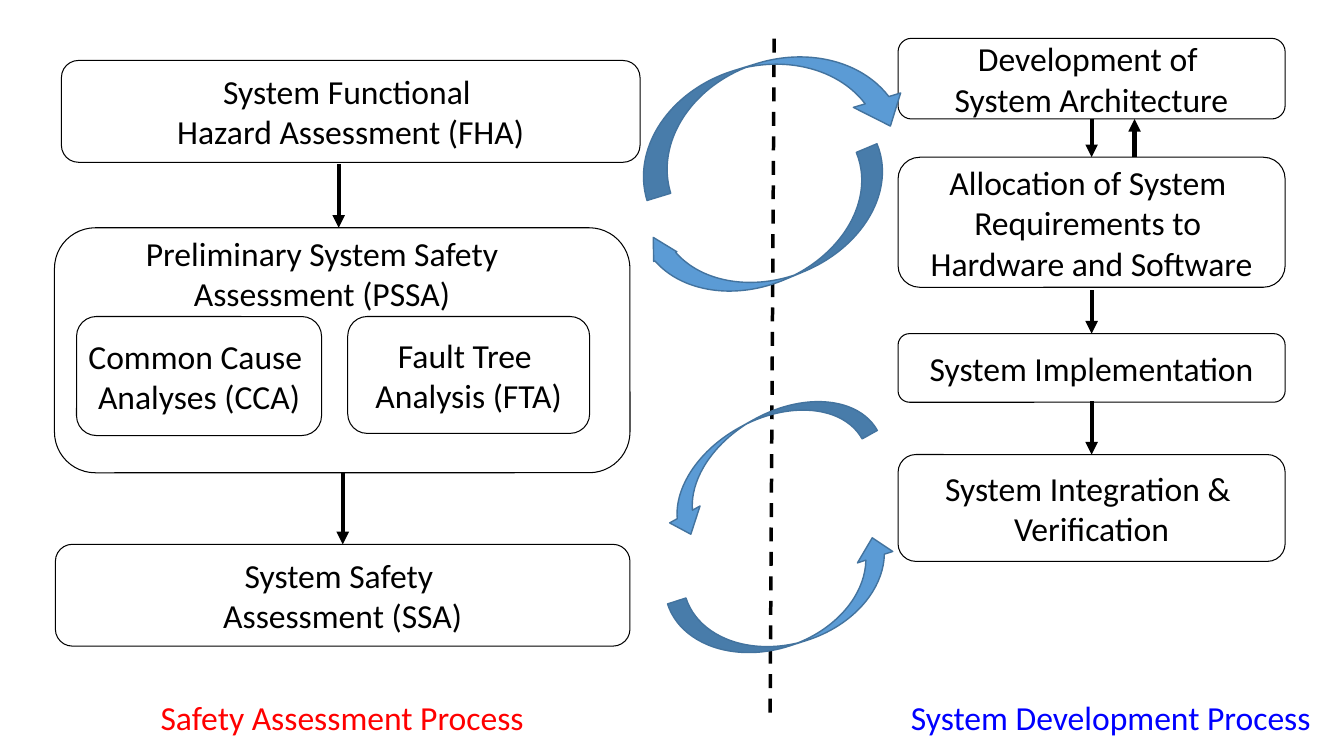
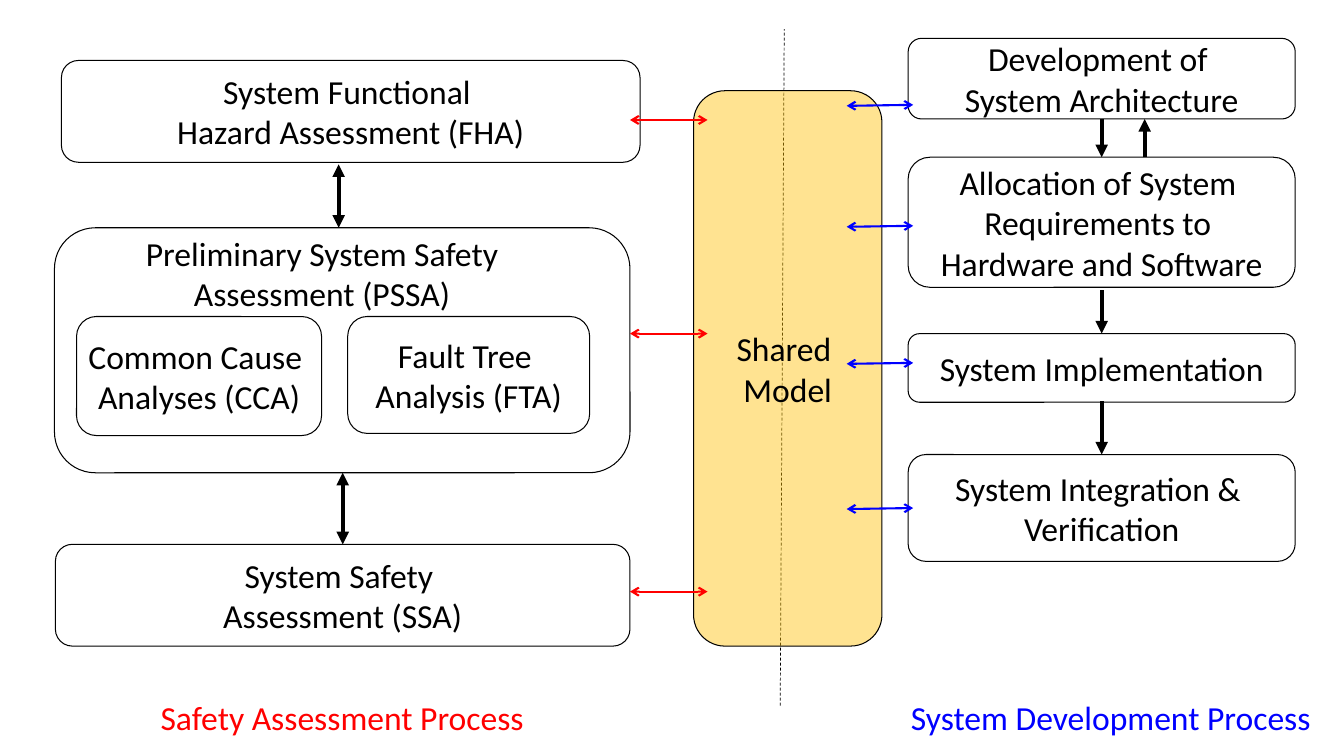
from dataclasses import dataclass
from typing import Any

from lxml import etree
from pptx import Presentation
from pptx import util as u
from pptx.dml.color import RGBColor
from pptx.enum import dml, shapes, text
from pptx.oxml import ns

BLACK = RGBColor(0x00, 0x00, 0x00)
WHITE = RGBColor(0xFF, 0xFF, 0xFF)
RED = RGBColor(0xFF, 0x00, 0x00)
BLUE = RGBColor(0x00, 0x00, 0xFF)
AMBER = RGBColor(0xFF, 0xC0, 0x00)
CYCLE_FILL = RGBColor(0x5B, 0x9B, 0xD5)
CYCLE_LINE = RGBColor(0x43, 0x73, 0x9E)

FONT = {"name": "Calibri", "size": u.Pt(24)}
BOX_FRAME = {"word_wrap": False, "vertical_anchor": text.MSO_ANCHOR.MIDDLE}
LABEL_FRAME = {"word_wrap": True, "auto_size": text.MSO_AUTO_SIZE.SHAPE_TO_FIT_TEXT}

SHIFT = 7.2  # the development column moves right beside the shared model


@dataclass(frozen=True)
class Box:
    left: float
    top: float
    width: float
    height: float
    lines: tuple[str, ...] = ()

    def area(self) -> list[u.Length]:
        return [u.Pt(n) for n in (self.left, self.top, self.width, self.height)]


@dataclass(frozen=True)
class Label:
    box: Box
    color: RGBColor = BLACK


@dataclass(frozen=True)
class Line:
    x1: float
    y1: float
    x2: float
    y2: float
    width: float = 3
    color: RGBColor = BLACK
    head: str = ""
    tail: str = "triangle"
    dashed: bool = False


@dataclass(frozen=True)
class CycleArrow:
    box: Box
    kind: shapes.MSO_SHAPE
    rotation: float
    flips: tuple[str, ...]
    adjustments: tuple[float, ...]


SAFETY_BOXES = (
    Box(43.9, 43.2, 413.3, 72.7, ("System Functional ", "Hazard Assessment (FHA)")),
    Box(39.6, 388.8, 410.4, 72.7, ("System Safety ", "Assessment (SSA)")),
    Box(38.9, 162.7, 411.1, 175),
    Box(248.4, 226.1, 172.8, 83.5, ("Fault Tree ", "Analysis (FTA)")),
    Box(54.7, 226.1, 175, 85, ("Common Cause ", "Analyses (CCA)")),
)
SAFETY_ARROWS = ((244.8, 337.7, 388.8), (241.9, 117.4, 162.7))

DEVELOPMENT_LEFT, DEVELOPMENT_WIDTH = 641.5, 276.5
DEVELOPMENT_ROWS = (
    (27.4, 57.6, ("Development of ", "System Architecture")),
    (112.3, 92.9, ("Allocation of System ", "Requirements to ", "Hardware and Software")),
    (238.3, 49, ("System Implementation",)),
    (324.7, 76.3, ("System Integration & ", "Verification")),
)
# Offset from the column's centre, start and end height
DEVELOPMENT_ARROWS = (
    (0, 85, 112.3), (0, 207.4, 238.3), (0, 286.6, 324.7), (30.7, 112.3, 85),
)

LABELS = (
    Label(Box(84.2, 162.7, 291.6, 65.5, ("Preliminary System Safety Assessment (PSSA)",))),
    Label(Box(98.6, 494.6, 291.6, 36, ("Safety Assessment Process",)), RED),
    Label(Box(629.3, 494.6, 328.3, 36, ("System Development Process",)), BLUE),
)

RIGHT, LEFT = shapes.MSO_SHAPE.CURVED_RIGHT_ARROW, shapes.MSO_SHAPE.CURVED_LEFT_ARROW
CYCLE_ARROWS = (
    CycleArrow(Box(511.9, -19.4, 70.6, 199.4), RIGHT, 253, ("flipH",), (0.25, 0.5, 0.29)),
    CycleArrow(Box(522.7, 76.3, 64.1, 182.2), LEFT, 247.3, ("flipH", "flipV"), (0.25, 0.28, 0.25)),
    CycleArrow(Box(517.7, 243.4, 49.7, 164.9), RIGHT, 60.9, (), (0.25, 0.5, 0.29)),
    CycleArrow(Box(537.1, 348.5, 55.4, 167), LEFT, 72.1, ("flipV",), (0.25, 0.48, 0.25)),
)

SHARED_MODEL = Box(495.4, 64.8, 134.6, 396.7, ("Shared ", "Model"))
SAFETY_LINK_HEIGHTS = (85.7, 238.3, 422.6)
DEVELOPMENT_LINK_HEIGHTS = (74.9, 161.3, 259.2, 362.9)


def set_all(target: Any, values: dict[str, Any]) -> None:
    for name, value in values.items():
        setattr(target, name, value)


def write(frame: Any, lines: tuple[str, ...], color: RGBColor, layout: dict[str, Any]) -> None:
    """Fill a text frame with one centred paragraph per line."""
    set_all(frame, layout)
    for index, line in enumerate(lines):
        para = frame.add_paragraph() if index else frame.paragraphs[0]
        para.alignment = text.PP_ALIGN.CENTER
        span = para.add_run()
        span.text = line
        set_all(span.font, FONT)
        span.font.color.rgb = color


def add_filled(page: Any, kind: shapes.MSO_SHAPE, box: Box, fill: RGBColor,
               line: RGBColor, width: float) -> Any:
    shape = page.shapes.add_shape(kind, *box.area())
    shape.shadow.inherit = False
    shape.fill.solid()
    shape.fill.fore_color.rgb = fill
    shape.line.color.rgb = line
    shape.line.width = u.Pt(width)
    return shape


def add_box(page: Any, box: Box, fill: RGBColor = WHITE) -> Any:
    shape = add_filled(page, shapes.MSO_SHAPE.ROUNDED_RECTANGLE, box, fill, BLACK, 0.75)
    write(shape.text_frame, box.lines, BLACK, BOX_FRAME)
    return shape


def add_label(page: Any, label: Label) -> None:
    area = page.shapes.add_textbox(*label.box.area())
    write(area.text_frame, label.box.lines, label.color, LABEL_FRAME)


def add_line(page: Any, line: Line) -> None:
    ends = [u.Pt(n) for n in (line.x1, line.y1, line.x2, line.y2)]
    connector = page.shapes.add_connector(shapes.MSO_CONNECTOR.STRAIGHT, *ends)
    connector.line.color.rgb = line.color
    connector.line.width = u.Pt(line.width)
    if line.dashed:
        connector.line.dash_style = dml.MSO_LINE.DASH
    outline = connector.get_or_add_ln()
    for tag, kind in (("a:headEnd", line.head), ("a:tailEnd", line.tail)):
        if kind:
            etree.SubElement(outline, ns.qn(tag), type=kind)
    etree.SubElement(connector.element.spPr, ns.qn("a:effectLst"))


def add_cycle_arrow(page: Any, arrow: CycleArrow) -> None:
    shape = add_filled(page, arrow.kind, arrow.box, CYCLE_FILL, CYCLE_LINE, 1)
    shape.rotation = arrow.rotation
    for index, value in enumerate(arrow.adjustments):
        shape.adjustments[index] = value
    for flip in arrow.flips:
        shape.element.spPr.get_or_add_xfrm().set(flip, "1")


def add_processes(deck: Any, shift: float, rise: float, divider_width: float,
                  safety_head: str) -> Any:
    """Add a page with both process columns and the line between them."""
    page = deck.slides.add_slide(deck.slide_layouts[6])
    for x, start, end in SAFETY_ARROWS:
        add_line(page, Line(x, start, x, end, head=safety_head))
    for box in SAFETY_BOXES:
        add_box(page, box)
    add_line(page, Line(550.1 + shift, 509 - rise, 553 + shift, 25.9 - rise,
                        width=divider_width, tail="", dashed=True))
    for label in LABELS:
        add_label(page, label)
    left = DEVELOPMENT_LEFT + shift
    for top, height, lines in DEVELOPMENT_ROWS:
        add_box(page, Box(left, top, DEVELOPMENT_WIDTH, height, lines))
    for offset, start, end in DEVELOPMENT_ARROWS:
        x = left + DEVELOPMENT_WIDTH / 2 + offset
        add_line(page, Line(x, start, x, end))
    return page


def add_shared_model(page: Any) -> None:
    """Add the see-through model box and its links to both processes."""
    model = add_box(page, SHARED_MODEL, AMBER)
    color = model.element.spPr.find(f"{ns.qn('a:solidFill')}/{ns.qn('a:srgbClr')}")
    etree.SubElement(color, ns.qn("a:alpha"), val="43000")
    links = [Line(450, y, 505.4, y, 1.5, RED, "arrow", "arrow") for y in SAFETY_LINK_HEIGHTS]
    links += [Line(652.3, y, 604.8, y + 0.7, 1.5, BLUE, "arrow", "arrow")
              for y in DEVELOPMENT_LINK_HEIGHTS]
    for link in links:
        add_line(page, link)


def main() -> None:
    deck = Presentation()
    set_all(deck, {"slide_width": u.Pt(960), "slide_height": u.Pt(540)})

    cycle_page = add_processes(deck, 0, 0, 2.5, "")
    for arrow in CYCLE_ARROWS:
        add_cycle_arrow(cycle_page, arrow)

    model_page = add_processes(deck, SHIFT, 5, 0.5, "triangle")
    add_shared_model(model_page)

    deck.save("out.pptx")


if __name__ == "__main__":
    main()
